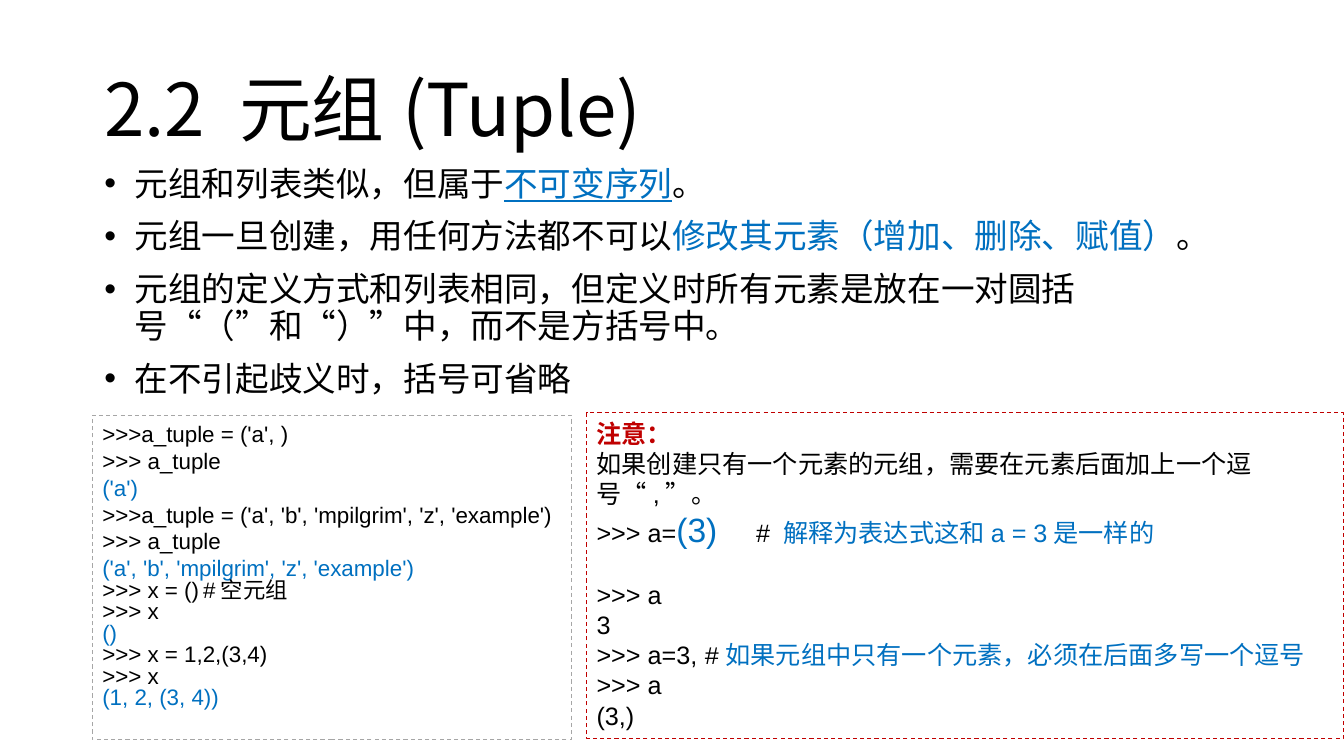
"""Build the slide on Python tuples: title, four bullets, two code panels."""
from lxml import etree
from pptx import Presentation
from pptx.dml.color import RGBColor
from pptx.enum.dml import MSO_LINE
from pptx.enum.shapes import MSO_SHAPE
from pptx.enum.text import MSO_ANCHOR, PP_ALIGN
from pptx.oxml.ns import qn
from pptx.util import Pt

RECT, DASH = MSO_SHAPE.RECTANGLE, MSO_LINE.DASH
TOP, MIDDLE, LEFT = MSO_ANCHOR.TOP, MSO_ANCHOR.MIDDLE, PP_ALIGN.LEFT
COLORS = {"black": "000000", "blue": "0070C0", "red": "C00000", "gray": "A6A6A6"}
CJK, LATIN, MONO = "Noto Sans CJK SC", "Arial", "Courier New"

BLUE = {"color": "blue"}
TIGHT = {"line_spacing": 0.8}
BULLET = {"line_spacing": 0.9, "space_before": Pt(11.9)}

TITLE = [([("2.2 元组(Tuple)", {})], {"line_spacing": 0.9})]
BULLETS = [
    ([("元组和列表类似，但属于", {}), ("不可变序列", {"color": "blue", "underline": True}),
      ("。", {})], BULLET),
    ([("元组一旦创建，用任何方法都不可以", {}), ("修改其元素（增加、删除、赋值）", BLUE),
      ("。", {})], BULLET),
    ([("元组的定义方式和列表相同，但定义时所有元素是放在一对圆括号“（”和“）”中，而不是方括号中。", {})],
     BULLET),
    ([("在不引起歧义时，括号可省略", {})], BULLET),
]
EXAMPLES = [
    ([(">>>a_tuple = ('a', )", {})], {}),
    ([(">>> a_tuple", {})], {}),
    ([("('a')", BLUE)], {}),
    ([(">>>a_tuple = ('a', 'b', 'mpilgrim', 'z', 'example')", {})], {}),
    ([(">>> a_tuple", {})], {}),
    ([("('a', 'b', 'mpilgrim', 'z', 'example')", BLUE)], {}),
    ([(">>> x = ()\t#空元组", {})], TIGHT),
    ([(">>> x", {})], TIGHT),
    ([("()", BLUE)], TIGHT),
    ([(">>> x = 1,2,(3,4)", {})], TIGHT),
    ([(">>> x", {})], TIGHT),
    ([("(1, 2, (3, 4))", BLUE)], TIGHT),
]
NOTE = [
    ([("注意：", {"color": "red", "bold": True})], {}),
    ([("如果创建只有一个元素的元组，需要在元素后面加上一个逗号“,”。", {})], {}),
    ([(">>> a=", {}), ("(3)", {"color": "blue", "size": Pt(24)}), ("\t# ", {}),
      ("解释为表达式这和a = 3是一样的", BLUE)], {"tab": Pt(114)}),
    ([(">>> a", {})], {"space_before": Pt(21.5)}),
    ([("3", {})], {}),
    ([(">>> a=3, ", {}), ("#", {"name": MONO}),
      ("如果元组中只有一个元素，必须在后面多写一个逗号", BLUE)], {}),
    ([(">>> a", {})], {}),
    ([("(3,)", {})], {}),
]

TEXTS = [
    (TITLE, (66, 29, 828, 104), 52, MIDDLE),
    (BULLETS, (66, 115, 828, 343), 24, TOP),
]
PANELS = [
    (EXAMPLES, (66, 296.5, 342, 232), 16, "gray"),
    (NOTE, (419, 295, 541, 232.5), 18, "red"),
]


def rgb(name):
    return RGBColor.from_string(COLORS[name])


def add_bullet(p):
    pPr = p._p.get_or_add_pPr()
    pPr.set("marL", str(Pt(21.6)))
    pPr.set("indent", str(Pt(-21.6)))
    etree.SubElement(pPr, qn("a:buFont")).set("typeface", LATIN)
    etree.SubElement(pPr, qn("a:buChar")).set("char", "•")


def add_tab(p, pos):
    tabs = etree.SubElement(p._p.get_or_add_pPr(), qn("a:tabLst"))
    tab = etree.SubElement(tabs, qn("a:tab"))
    tab.set("pos", str(pos))
    tab.set("algn", "l")


def add_run(p, text, base, fmt):
    r = p.add_run()
    r.text = text
    values = {**base, **fmt}
    r.font.color.rgb = rgb(values.pop("color"))
    for key, value in values.items():
        setattr(r.font, key, value)
    latin = r._r.get_or_add_rPr().find(qn("a:latin"))
    ea = etree.Element(qn("a:ea"))
    ea.set("typeface", CJK)
    latin.addnext(ea)


def fill_text(tf, paragraphs, size, font, anchor, insets):
    side, edge = insets
    frame = {"word_wrap": True, "vertical_anchor": anchor, "margin_left": side,
             "margin_right": side, "margin_top": edge, "margin_bottom": edge}
    for key, value in frame.items():
        setattr(tf, key, value)
    base = {"size": Pt(size), "name": font, "color": "black"}
    for i, (runs, layout) in enumerate(paragraphs):
        p = tf.add_paragraph() if i else tf.paragraphs[0]
        p.alignment = LEFT
        for key, value in layout.items():
            if key == "tab":
                add_tab(p, value)
            else:
                setattr(p, key, value)
        if layout is BULLET:
            add_bullet(p)
        for text, fmt in runs:
            add_run(p, text, base, fmt)


prs = Presentation()
prs.slide_width, prs.slide_height = Pt(960), Pt(540)
s = prs.slides.add_slide(prs.slide_layouts[6])

for paragraphs, box, size, anchor in TEXTS:
    sp = s.shapes.add_textbox(*map(Pt, box))
    fill_text(sp.text_frame, paragraphs, size, CJK, anchor, (Pt(8.64), Pt(4.32)))

for paragraphs, box, size, border in PANELS:
    sp = s.shapes.add_shape(RECT, *map(Pt, box))
    sp.shadow.inherit = False
    sp.fill.background()
    sp.line.color.rgb = rgb(border)
    sp.line.width, sp.line.dash_style = Pt(0.75), DASH
    fill_text(sp.text_frame, paragraphs, size, LATIN, TOP, (Pt(7.2), Pt(3.6)))

prs.save("out.pptx")
